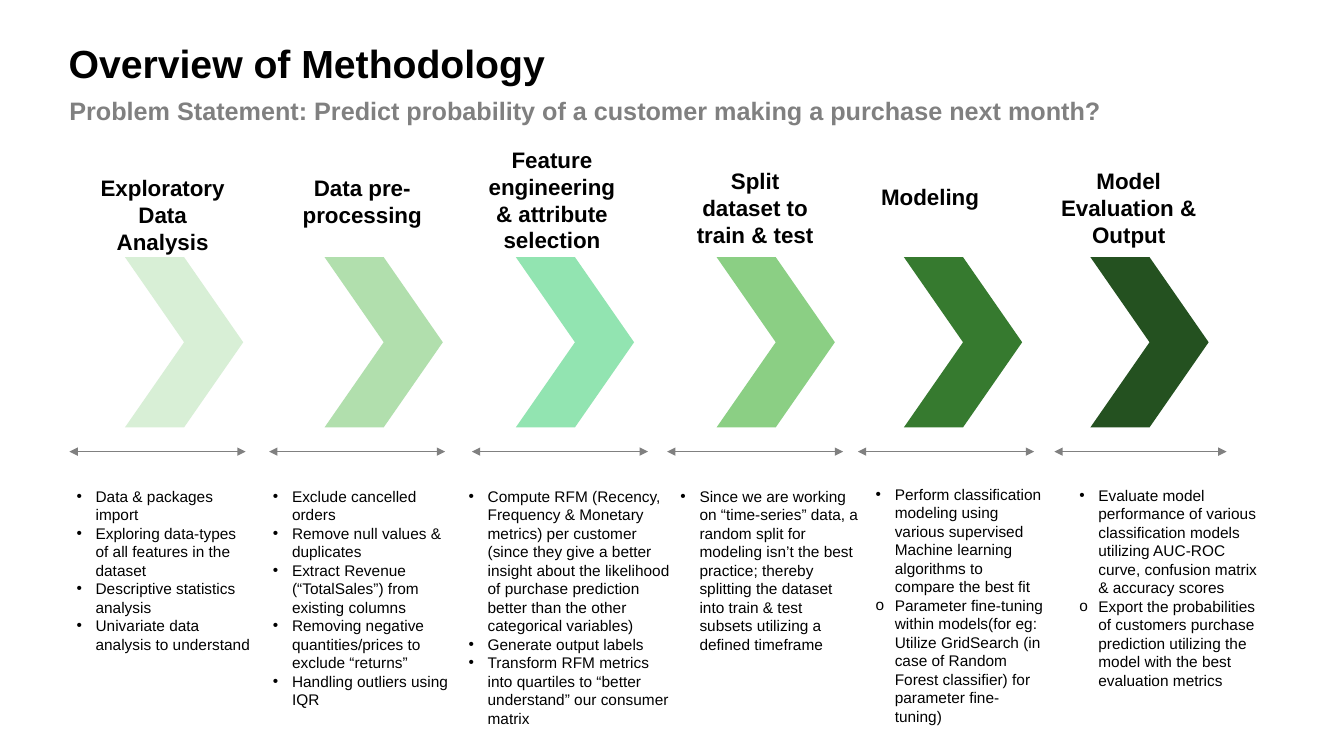
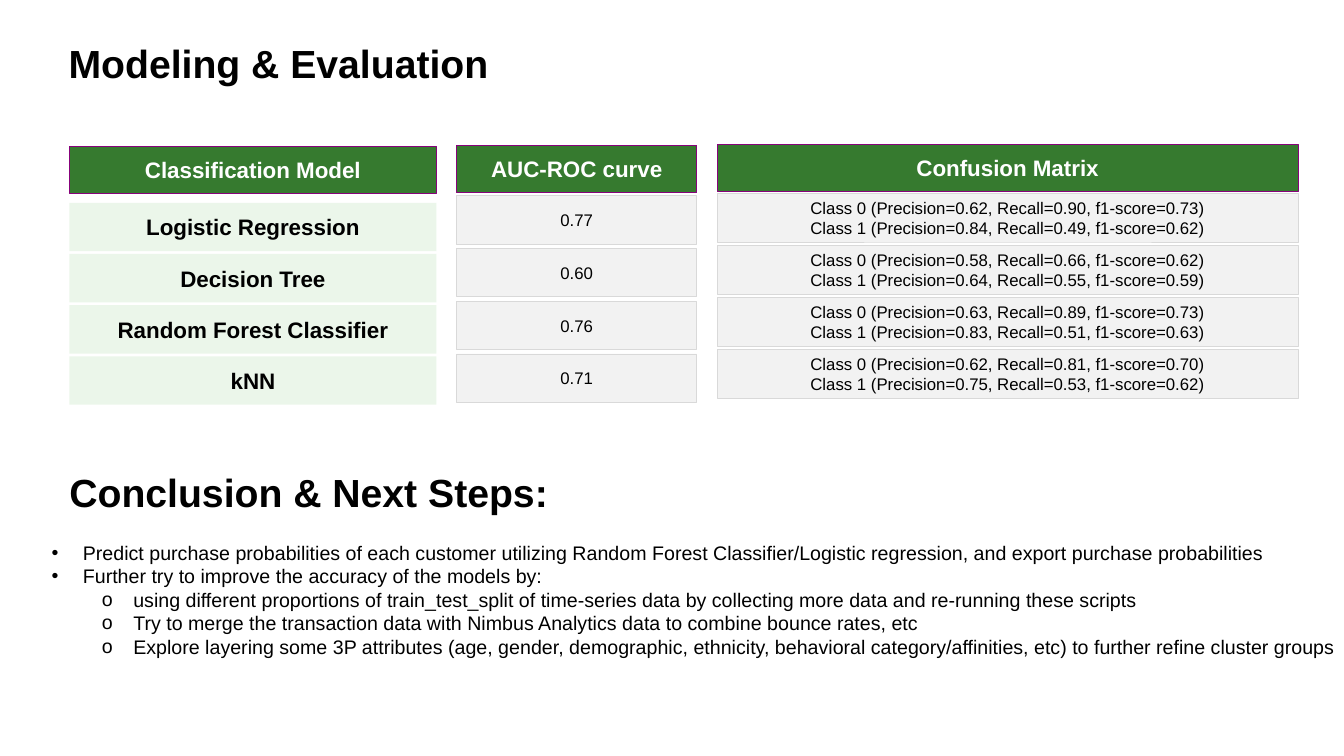
from pptx import Presentation
from pptx.dml.color import RGBColor
from pptx.enum.shapes import MSO_CONNECTOR as Connector, MSO_SHAPE as Preset
from pptx.enum.text import MSO_ANCHOR as Anchor, MSO_AUTO_SIZE as AutoSize, PP_ALIGN as Align
from pptx.oxml.ns import qn
from pptx.util import Cm, Pt
from lxml.etree import SubElement

FONT = "Arial"
COLORS = {
    "text": "000000", "muted": "808080", "inverse": "FFFFFF",
    "header": "367A2F", "header_line": "87027B",
    "cell": "F2F2F2", "cell_line": "D9D9D9", "label": "B1DFAD",
    "explore": "D8EFD6", "prepare": "B1DFAD", "engineer": "92E4B1",
    "split": "8BCF84", "model": "367A2F", "evaluate": "245120",
}
TITLE_BOX = (1.73, 0.99, 30.4, 1.35)
SUBTITLE_BOX = (1.75, 2.41, 30.4, 1.35)

# Stage: column (left, width), chevron offset, heading (offset, top, width),
# bullet list (offset, top, width), colour, heading text, bullets
STAGES = [
    ((1.75, 4.44), 1.4, (0.61, 4.39, 3.48), (0.18, 12.27, 4.42),
     "explore", "Exploratory Data Analysis",
     [("•", "Data & packages import"),
      ("•", "Exploring data-types of all features in the dataset"),
      ("•", "Descriptive statistics analysis"),
      ("•", "Univariate data analysis to understand")]),
    ((6.78, 4.44), 1.4, (0.61, 4.39, 3.48), (0.1, 12.27, 4.67),
     "prepare", "Data pre-processing",
     [("•", "Exclude cancelled orders"),
      ("•", "Remove null values & duplicates"),
      ("•", "Extract Revenue (“TotalSales”) from existing columns"),
      ("•", "Removing negative quantities/prices to exclude “returns”"),
      ("•", "Handling outliers using IQR")]),
    ((11.89, 4.44), 1.11, (0.28, 3.68, 3.48), (-0.08, 12.27, 5.23),
     "engineer", "Feature engineering & attribute selection",
     [("•", "Compute RFM (Recency, Frequency & Monetary metrics) per customer "
            "(since they give a better insight about the likelihood of purchase "
            "prediction better than the other categorical variables)"),
      ("•", "Generate output labels"),
      ("•", "Transform RFM metrics into quartiles to “better understand” "
            "our consumer matrix")]),
    ((16.81, 4.44), 1.25, (0.72, 4.22, 3.0), (0.34, 12.27, 4.5),
     "split", "Split dataset to train & test",
     [("•", "Since we are working on “time-series” data, a random split for "
            "modeling isn’t the best practice; thereby splitting the dataset "
            "into train & test subsets utilizing a defined timeframe")]),
    ((21.62, 4.44), 1.16, (-0.16, 4.62, 3.96), (0.45, 12.22, 4.27),
     "model", "Modeling",
     [("•", "Perform classification modeling using various supervised Machine "
            "learning algorithms to compare the best fit"),
      ("o", "Parameter fine-tuning within models(for eg: Utilize GridSearch "
            "(in case of Random Forest classifier) for parameter fine-tuning)")]),
    ((26.57, 4.34), 0.91, (0.15, 4.22, 3.45), (0.63, 12.24, 4.83),
     "evaluate", "Model Evaluation & Output",
     [("•", "Evaluate model performance of various classification models "
            "utilizing AUC-ROC curve, confusion matrix & accuracy scores"),
      ("o", "Export the probabilities of customers purchase prediction "
            "utilizing the model with the best evaluation metrics")]),
]

# Result column: left, width, header top, first cell top, row pitch, header, cells
RESULTS = [
    (1.75, 9.25, 3.68, 5.11, 1.29, "Classification Model",
     ["Logistic Regression", "Decision Tree", "Random Forest Classifier", "kNN"]),
    (11.51, 6.05, 3.66, 4.93, 1.33, "AUC-ROC curve",
     ["0.77", "0.60", "0.76", "0.71"]),
    (18.08, 14.63, 3.63, 4.88, 1.31, "Confusion Matrix",
     ["Class 0 (Precision=0.62, Recall=0.90, f1-score=0.73)\n"
      "Class 1 (Precision=0.84, Recall=0.49, f1-score=0.62)",
      "Class 0 (Precision=0.58, Recall=0.66, f1-score=0.62)\n"
      "Class 1 (Precision=0.64, Recall=0.55, f1-score=0.59)",
      "Class 0 (Precision=0.63, Recall=0.89, f1-score=0.73)\n"
      "Class 1 (Precision=0.83, Recall=0.51, f1-score=0.63)",
      "Class 0 (Precision=0.62, Recall=0.81, f1-score=0.70)\n"
      "Class 1 (Precision=0.75, Recall=0.53, f1-score=0.62)"]),
]

# Next step: level, bullet, text
NEXT_STEPS = [
    (0, "•", "Predict purchase probabilities of each customer utilizing Random "
             "Forest Classifier/Logistic regression, and export purchase probabilities"),
    (0, "•", "Further try to improve the accuracy of the models by:"),
    (1, "o", "using different proportions of train_test_split of time-series data "
             "by collecting more data and re-running these scripts"),
    (1, "o", "Try to merge the transaction data with Nimbus Analytics data to "
             "combine bounce rates, etc"),
    (1, "o", "Explore layering some 3P attributes (age, gender, demographic, "
             "ethnicity, behavioral category/affinities, etc) to further refine "
             "cluster groups"),
]


def rgb(name):
    return RGBColor.from_string(COLORS[name])


def place(shape, box):
    shape.left, shape.top, shape.width, shape.height = (Cm(value) for value in box)


def write(shape, text, size, color="text", bold=False, align=Align.LEFT,
          anchor=Anchor.TOP, inset=(0, 0), wrap=True):
    frame = shape.text_frame
    frame.text = text
    frame.word_wrap = wrap
    frame.auto_size = AutoSize.NONE
    frame.vertical_anchor = anchor
    frame.margin_left = frame.margin_right = Cm(inset[0])
    frame.margin_top = frame.margin_bottom = Cm(inset[1])
    for paragraph in frame.paragraphs:
        paragraph.alignment = align
        for run in paragraph.runs:
            font = run.font
            font.name, font.size, font.bold = FONT, Pt(size), bold
            font.color.rgb = rgb(color)


def add_text(slide, box, text, size, **style):
    shape = slide.shapes.add_textbox(*(Cm(value) for value in box))
    write(shape, text, size, **style)
    return shape


def set_bullet(paragraph, symbol, left, hang):
    properties = paragraph._p.get_or_add_pPr()
    properties.set("marL", str(Cm(left)))
    properties.set("indent", str(-Cm(hang)))
    SubElement(properties, qn("a:buFont"), typeface=FONT)
    SubElement(properties, qn("a:buChar"), char=symbol)


def add_preset(slide, preset, box, fill, line=None):
    shape = slide.shapes.add_shape(preset, *(Cm(value) for value in box))
    shape.shadow.inherit = False
    shape.fill.solid()
    shape.fill.fore_color.rgb = rgb(fill)
    if line:
        shape.line.color.rgb = rgb(line)
        shape.line.width = Pt(0.5)
    else:
        shape.line.fill.background()
    return shape


def set_opacity(shape, percent):
    color = shape.fill._xPr.find(qn("a:solidFill"))[0]
    SubElement(color, qn("a:alpha"), val=str(percent * 1000))


def add_double_arrow(slide, left, top, width):
    arrow = slide.shapes.add_connector(
        Connector.STRAIGHT, Cm(left), Cm(top), Cm(left + width), Cm(top))
    arrow.line.color.rgb = rgb("muted")
    arrow.line.width = Pt(0.25)
    line = arrow.line._get_or_add_ln()
    for end in ("a:headEnd", "a:tailEnd"):
        SubElement(line, qn(end), type="triangle")
    SubElement(arrow._element.spPr, qn("a:effectLst"))


def add_titled_slide(presentation, title):
    slide = presentation.slides.add_slide(presentation.slide_layouts[5])
    place(slide.shapes.title, TITLE_BOX)
    write(slide.shapes.title, title, 28, bold=True)
    return slide


def add_stage(slide, stage):
    (left, width), chevron_offset, heading_box, list_box, color, heading, bullets = stage
    # Chevron and its heading
    add_preset(slide, Preset.CHEVRON, (left + chevron_offset, 6.48, 2.98, 4.29), color)
    offset, top, heading_width = heading_box
    add_text(slide, (left + offset, top, heading_width, 1.35), heading, 16,
             bold=True, align=Align.CENTER)
    # Span arrow and the steps under it
    add_double_arrow(slide, left, 11.38, width)
    offset, top, list_width = list_box
    steps = add_text(slide, (left + offset, top, list_width, 5.72),
                     "\n".join(text for _, text in bullets), 11)
    for paragraph, (symbol, _) in zip(steps.text_frame.paragraphs, bullets):
        set_bullet(paragraph, symbol, 0.48, 0.48)


def add_result_column(slide, column, is_label):
    left, width, header_top, first_top, pitch, header, cells = column
    cell_style = {"align": Align.CENTER, "anchor": Anchor.MIDDLE, "inset": (0.2, 0.1)}
    # Header
    shape = add_preset(slide, Preset.RECTANGLE, (left, header_top, width, 1.2),
                       "header", "header_line")
    write(shape, header, 16, color="inverse", bold=True, **cell_style)
    # Cells
    for row, text in enumerate(cells):
        box = (left, first_top + row * pitch, width, 1.22)
        if is_label:
            shape = add_preset(slide, Preset.RECTANGLE, box, "label")
            set_opacity(shape, 25)
        else:
            shape = add_preset(slide, Preset.RECTANGLE, box, "cell", "cell_line")
        write(shape, text, 16 if is_label else 12, bold=is_label, **cell_style)


def add_conclusion(slide, left, top):
    add_text(slide, (left, top, 30.4, 1.35), "Conclusion & Next Steps:", 28, bold=True)
    steps = add_text(slide, (left - 0.5, top + 1.78, 31.47, 3.12),
                     "\n".join(text for _, _, text in NEXT_STEPS), 14,
                     inset=(0.05, 0.05), wrap=False)
    for paragraph, (level, symbol, _) in zip(steps.text_frame.paragraphs, NEXT_STEPS):
        paragraph.level = level
        set_bullet(paragraph, symbol, 0.79 + 1.27 * level, 0.79)


def build_methodology(presentation):
    slide = add_titled_slide(presentation, "Overview of Methodology")
    add_text(slide, SUBTITLE_BOX,
             "Problem Statement: Predict probability of a customer making a "
             "purchase next month?", 18, color="muted", bold=True)
    for stage in STAGES:
        add_stage(slide, stage)


def build_evaluation(presentation):
    slide = add_titled_slide(presentation, "Modeling & Evaluation")
    for index, column in enumerate(RESULTS):
        add_result_column(slide, column, is_label=index == 0)
    add_conclusion(slide, 1.75, 11.79)


def main():
    presentation = Presentation()
    presentation.slide_width, presentation.slide_height = Cm(33.87), Cm(19.05)
    build_methodology(presentation)
    build_evaluation(presentation)
    presentation.save("out.pptx")


if __name__ == "__main__":
    main()
